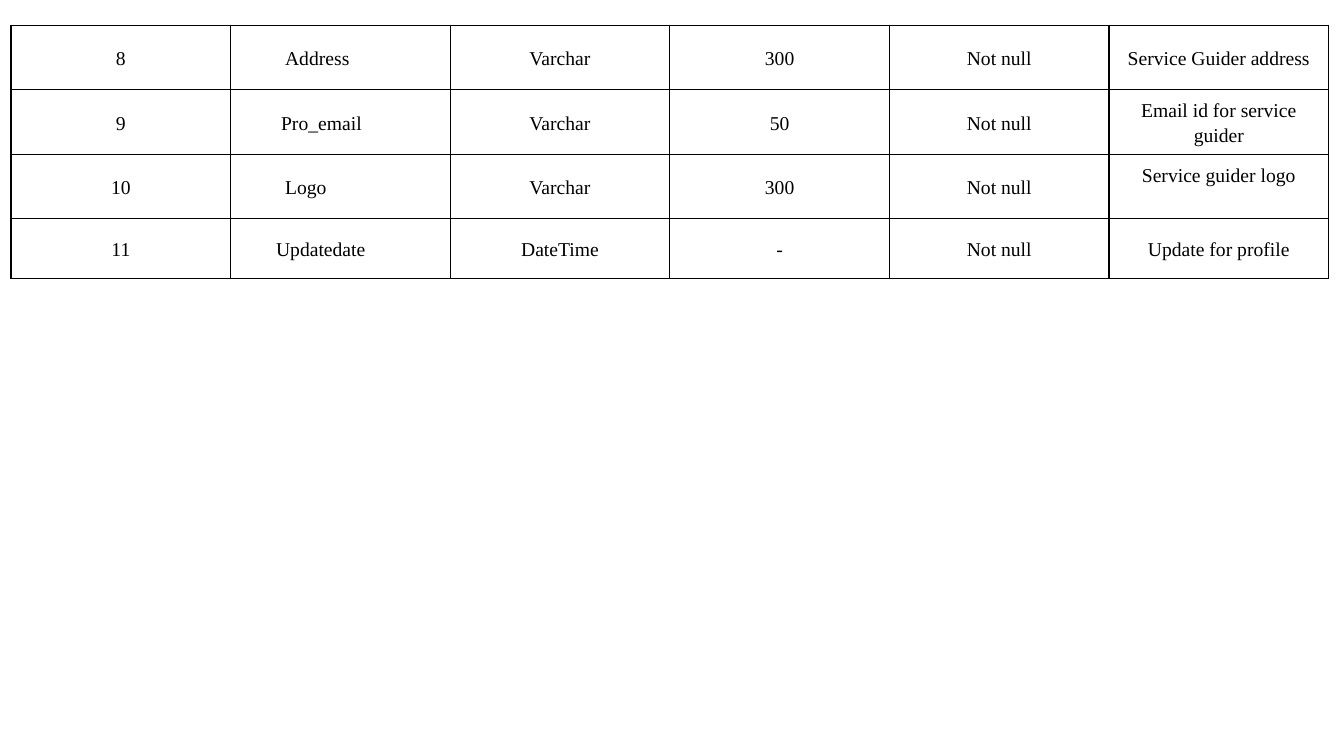
from dataclasses import dataclass

from lxml import etree
from pptx import Presentation
from pptx import util as u
from pptx.dml.color import RGBColor
from pptx.enum import text
from pptx.oxml import ns


@dataclass(frozen=True)
class Theme:
    font: str = "Times New Roman"
    size: int = 14
    ink: str = "000000"
    border_width: int = 1
    line_spacing: float = 1.15
    cell_margin: float = 0.06


THEME = Theme()
ROW_HEIGHTS = [0.64, 0.64, 0.64, 0.59]
NAME_INDENTS = [0.54, 0.5, 0.54, 0.45]
FIELDS = [
    ["8", "Address", "Varchar", "300", "Not null", "Service Guider address"],
    ["9", "Pro_email", "Varchar", "50", "Not null", "Email id for service guider"],
    ["10", "Logo", "Varchar", "300", "Not null", "Service guider logo"],
    ["11", "Updatedate", "DateTime", "-", "Not null", "Update for profile"],
]
NAME_COLUMN = 1
RAISED_CELL = (2, 5)
RAISED_MARGIN = 0.25


def add_borders(cell):
    properties = cell._tc.get_or_add_tcPr()
    for position, side in enumerate(("lnL", "lnR", "lnT", "lnB")):
        line = etree.Element(ns.qn(f"a:{side}"), w=str(u.Pt(THEME.border_width)))
        fill = etree.SubElement(line, ns.qn("a:solidFill"))
        etree.SubElement(fill, ns.qn("a:srgbClr"), val=THEME.ink)
        properties.insert(position, line)


def format_cell(cell, content, alignment):
    cell.fill.background()
    add_borders(cell)
    cell.vertical_anchor = text.MSO_ANCHOR.MIDDLE
    cell.margin_left = cell.margin_right = u.Inches(THEME.cell_margin)
    cell.margin_top = cell.margin_bottom = 0
    cell.text_frame.text = content
    paragraph = cell.text_frame.paragraphs[0]
    paragraph.alignment = alignment
    paragraph.line_spacing = THEME.line_spacing
    font = paragraph.runs[0].font
    font.name = THEME.font
    font.size = u.Pt(THEME.size)
    font.color.rgb = RGBColor.from_string(THEME.ink)


def add_field_table(slide, left, top, width, height):
    frame = slide.shapes.add_table(
        len(FIELDS), len(FIELDS[0]),
        u.Inches(left), u.Inches(top), u.Inches(width), u.Inches(height),
    )
    table = frame.table
    table.first_row = table.horz_banding = False
    for row, row_height in zip(table.rows, ROW_HEIGHTS):
        row.height = u.Inches(row_height * height / sum(ROW_HEIGHTS))
    for row_index, field in enumerate(FIELDS):
        for column_index, content in enumerate(field):
            is_name = column_index == NAME_COLUMN
            alignment = text.PP_ALIGN.LEFT if is_name else text.PP_ALIGN.CENTER
            cell = table.cell(row_index, column_index)
            format_cell(cell, content, alignment)
            if is_name:
                cell.margin_left = u.Inches(NAME_INDENTS[row_index])
    table.cell(*RAISED_CELL).margin_bottom = u.Inches(RAISED_MARGIN)


def main():
    presentation = Presentation()
    presentation.slide_width = u.Inches(13.33)
    presentation.slide_height = u.Inches(7.5)
    slide = presentation.slides.add_slide(presentation.slide_layouts[6])
    add_field_table(slide, left=0.11, top=0.25, width=13.07, height=2.51)
    presentation.save("out.pptx")


if __name__ == "__main__":
    main()
